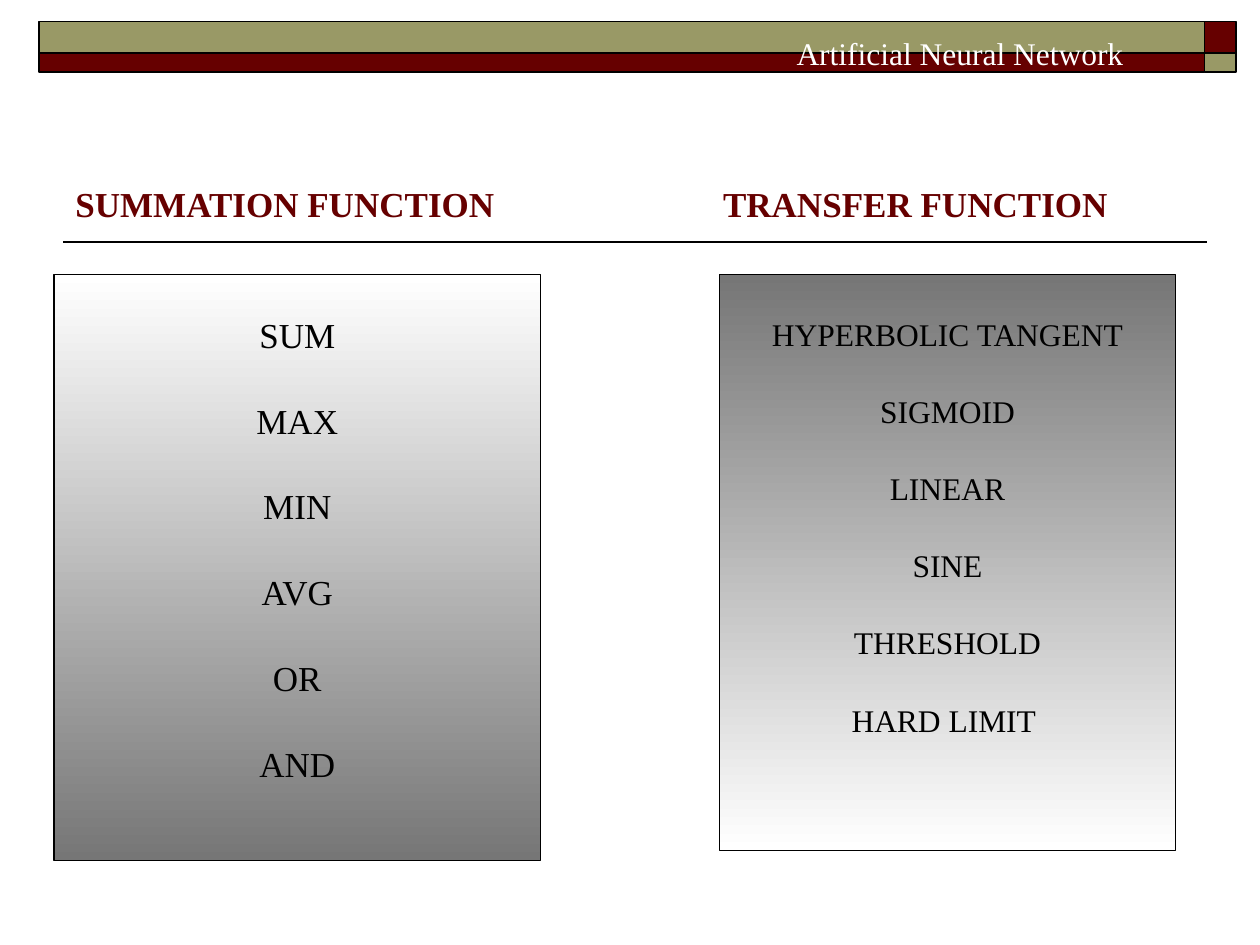
import pptx
import pptx.dml.color
import pptx.enum.shapes
import pptx.enum.text
import pptx.oxml
import pptx.oxml.ns
import pptx.util
from pptx.util import Inches

COLORS = {
    "maroon": "660000",
    "olive": "999966",
    "black": "000000",
    "white": "FFFFFF",
    "gray": "767676",
}
ALIGN = pptx.enum.text.PP_ALIGN
ANCHOR = pptx.enum.text.MSO_ANCHOR


def rgb(name):
    return pptx.dml.color.RGBColor.from_string(COLORS[name])


class SlideBuilder:
    """Holds the slide being filled and its text style."""

    font_name = "Times New Roman"

    def __init__(self, slide):
        self.slide = slide

    def rule(self, left, right, y):
        connector = self.slide.shapes.add_connector(
            pptx.enum.shapes.MSO_CONNECTOR.STRAIGHT,
            Inches(left), Inches(y), Inches(right), Inches(y))
        connector.line.color.rgb = rgb("black")
        connector.line.width = pptx.util.Pt(1)
        properties = connector._element.spPr
        properties.append(pptx.oxml.parse_xml(
            f'<a:effectLst {pptx.oxml.ns.nsdecls("a")}/>'))

    def rectangle(self, left, top, width, height, colors, line_width=1):
        """Fill with one colour, or from top to bottom with two."""
        shape = self.slide.shapes.add_shape(
            pptx.enum.shapes.MSO_SHAPE.RECTANGLE,
            Inches(left), Inches(top), Inches(width), Inches(height))
        shape.shadow.inherit = False
        shape.line.color.rgb = rgb("black")
        shape.line.width = pptx.util.Pt(line_width)
        if len(colors) == 1:
            shape.fill.solid()
            shape.fill.fore_color.rgb = rgb(colors[0])
        else:
            shape.fill.gradient()
            shape.fill.gradient_angle = 270
            for stop, position, color in zip(shape.fill.gradient_stops, (0, 1), colors):
                stop.position = position
                stop.color.rgb = rgb(color)
        return shape

    def text_box(self, left, top, width, height):
        return self.slide.shapes.add_textbox(
            Inches(left), Inches(top), Inches(width), Inches(height))

    def add_lines(self, shape, lines, size, color="black", bold=False, gap=0,
                  align=ALIGN.CENTER, tab=None, **frame_format):
        """Put one paragraph per line in the shape, with gap points between them."""
        frame = shape.text_frame
        frame.word_wrap = True
        for name, value in frame_format.items():
            setattr(frame, name, value)
        font_format = {"name": self.font_name, "size": pptx.util.Pt(size), "bold": bold}
        for index, line in enumerate(lines):
            paragraph = frame.add_paragraph() if index else frame.paragraphs[0]
            paragraph.alignment = align
            paragraph.space_before = pptx.util.Pt(gap if index else 0)
            if tab:
                paragraph._p.get_or_add_pPr().append(pptx.oxml.parse_xml(
                    f'<a:tabLst {pptx.oxml.ns.nsdecls("a")}>'
                    f'<a:tab pos="{Inches(tab)}" algn="l"/></a:tabLst>'))
            run = paragraph.add_run()
            run.text = line
            for name, value in font_format.items():
                setattr(run.font, name, value)
            run.font.color.rgb = rgb(color)


def main():
    presentation = pptx.Presentation()
    presentation.slide_width = Inches(10)
    presentation.slide_height = Inches(7.5)
    builder = SlideBuilder(presentation.slides.add_slide(presentation.slide_layouts[6]))

    builder.rule(0.5, 9.58, 1.92)
    header_columns = ((0.31, 9.25), (9.56, 0.25))
    header_rows = ((0.17, 0.25, ("olive", "maroon")), (0.42, 0.15, ("maroon", "olive")))
    for top, height, colors in header_rows:
        for (left, width), color in zip(header_columns, colors):
            builder.rectangle(left, top, width, height, [color])

    builder.add_lines(
        builder.text_box(0.5, 0.58, 9, 1.25),
        ["SUMMATION FUNCTION\tTRANSFER FUNCTION"], 20, "maroon", bold=True,
        align=ALIGN.LEFT, tab=5.14, vertical_anchor=ANCHOR.BOTTOM)

    panels = (
        ((0.43, 2.18, 3.86, 4.65), ("white", "gray"), 20, 25, 0.35,
         ["SUM", "MAX", "MIN", "AVG", "OR", "AND"]),
        ((5.71, 2.18, 3.62, 4.57), ("gray", "white"), 18, 22.5, 0.62,
         ["HYPERBOLIC TANGENT", "SIGMOID", "LINEAR", "SINE", "THRESHOLD", "HARD LIMIT "]),
    )
    for bounds, colors, size, gap, bottom, functions in panels:
        panel = builder.rectangle(*bounds, colors, line_width=0.75)
        builder.add_lines(panel, functions, size, gap=gap,
                          vertical_anchor=ANCHOR.MIDDLE, margin_bottom=Inches(bottom))

    builder.add_lines(builder.text_box(5.87, 0.22, 3.5, 0.29),
                      ["Artificial Neural Network"], 18, "white")

    presentation.save("out.pptx")


if __name__ == "__main__":
    main()
